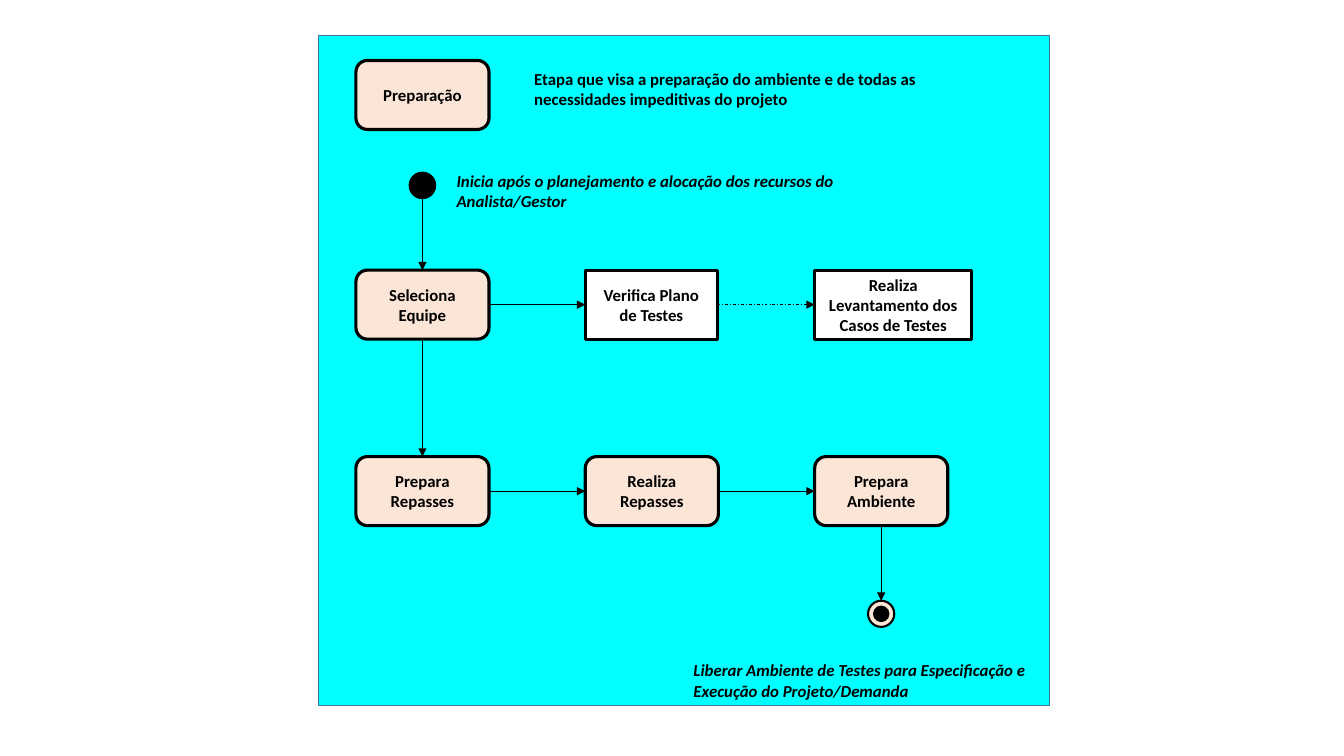
from pptx import Presentation
from pptx.dml.color import RGBColor
from pptx.enum.dml import MSO_LINE
from pptx.enum.shapes import MSO_CONNECTOR, MSO_SHAPE
from pptx.enum.text import MSO_ANCHOR, PP_ALIGN
from pptx.oxml.ns import qn
from pptx.util import Inches, Pt
from lxml import etree

ROUND, RECT, OVAL = MSO_SHAPE.ROUNDED_RECTANGLE, MSO_SHAPE.RECTANGLE, MSO_SHAPE.OVAL
TOP, LEFT, BOTTOM, RIGHT = range(4)  # connection sites

# Content: name -> (text, column, row, shape, width)
STEPS = {
    "stage": ("Preparação", 0, 0, ROUND, 1.32),
    "team": ("Seleciona Equipe", 0, 1, ROUND, 1.32),
    "plan": ("Verifica Plano de Testes", 1, 1, RECT, 1.31),
    "cases": ("Realiza Levantamento dos Casos de Testes", 2, 1, RECT, 1.56),
    "handover": ("Prepara Repasses", 0, 2, ROUND, 1.32),
    "training": ("Realiza Repasses", 1, 2, ROUND, 1.32),
    "setup": ("Prepara Ambiente", 2, 2, ROUND, 1.32),
}
# Text, left, top, width, italic
NOTES = [
    ("Etapa que visa a preparação do ambiente e de todas as necessidades "
     "impeditivas do projeto", 5.2, 0.63, 4.01, False),
    ("Inicia após o planejamento e alocação dos recursos do Analista/Gestor",
     4.43, 1.64, 4.07, True),
    ("Liberar Ambiente de Testes para Especificação e Execução do "
     "Projeto/Demanda", 6.78, 6.5, 3.6, True),
]
# From, site, to, site, dashed
FLOWS = [
    ("start", BOTTOM, "team", TOP, False),
    ("team", BOTTOM, "handover", TOP, False),
    ("team", RIGHT, "plan", LEFT, False),
    ("plan", RIGHT, "cases", LEFT, True),
    ("handover", RIGHT, "training", LEFT, False),
    ("training", RIGHT, "setup", LEFT, False),
    ("setup", BOTTOM, "end", TOP, False),
]

# Theme and grid
THEME = {
    "panel": RGBColor(0x00, 0xFF, 0xFF),
    "panel_line": RGBColor(0x43, 0x73, 0x9E),
    "step": RGBColor(0xFB, 0xE5, 0xD6),
    "plain": RGBColor(0xFF, 0xFF, 0xFF),
    "ink": RGBColor(0, 0, 0),
    "font": "Calibri",
    "size": Pt(12),
}
COL_LEFT, COL_STEP = 3.53, 2.275
ROW_TOPS = (0.6, 2.68, 4.53)
STEP_W, STEP_H, NODE_D, DOT_D = 1.32, 0.685, 0.26, 0.15
START_Y, END_Y = 1.84, 6.09


def add_shape(s, kind, x, y, w, h, fill, line, weight):
    sp = s.shapes.add_shape(kind, Inches(x), Inches(y), Inches(w), Inches(h))
    sp.shadow.inherit = False
    sp.fill.solid()
    sp.fill.fore_color.rgb = fill
    sp.line.color.rgb = line
    sp.line.width = Pt(weight)
    return sp


def add_node(s, cx, cy, d, fill, weight):
    return add_shape(s, OVAL, cx - d / 2, cy - d / 2, d, d, fill, THEME["ink"], weight)


def set_text(sp, text, align, italic=False):
    tf = sp.text_frame
    tf.word_wrap = True
    p = tf.paragraphs[0]
    p.text, p.alignment = text, align
    p.font.name, p.font.size = THEME["font"], THEME["size"]
    p.font.bold, p.font.italic = True, italic
    p.font.color.rgb = THEME["ink"]
    return tf


def site_point(sp, site):
    mid_x, mid_y = sp.left + sp.width // 2, sp.top + sp.height // 2
    return {TOP: (mid_x, sp.top), LEFT: (sp.left, mid_y),
            BOTTOM: (mid_x, sp.top + sp.height),
            RIGHT: (sp.left + sp.width, mid_y)}[site]


def add_arrow(s, source, out_site, target, in_site, dashed):
    cn = s.shapes.add_connector(MSO_CONNECTOR.STRAIGHT, *site_point(source, out_site),
                                *site_point(target, in_site))
    if source.auto_shape_type != OVAL:
        cn.begin_connect(source, out_site)
    cn.end_connect(target, in_site)
    cn.line.color.rgb = THEME["ink"]
    cn.line.width = Pt(0.5)
    if dashed:
        cn.line.dash_style = MSO_LINE.DASH_DOT
    etree.SubElement(cn.line._get_or_add_ln(), qn("a:tailEnd"), type="triangle")
    etree.SubElement(cn._element.spPr, qn("a:effectLst"))


def main():
    prs = Presentation()
    prs.slide_width, prs.slide_height = Inches(13.33), Inches(7.5)
    s = prs.slides.add_slide(prs.slide_layouts[6])

    # Background panel
    add_shape(s, RECT, 3.16, 0.35, 7.25, 6.65, THEME["panel"], THEME["panel_line"], 1)

    # Steps
    parts = {}
    for name, (text, col, row, kind, width) in STEPS.items():
        fill = THEME["step"] if kind == ROUND else THEME["plain"]
        sp = add_shape(s, kind, COL_LEFT + col * COL_STEP, ROW_TOPS[row], width, STEP_H,
                       fill, THEME["ink"], 2.25)
        set_text(sp, text, PP_ALIGN.CENTER).vertical_anchor = MSO_ANCHOR.MIDDLE
        parts[name] = sp

    # Start and end nodes, centred on the first and last columns
    start_x = COL_LEFT + STEP_W / 2
    end_x = start_x + 2 * COL_STEP
    parts["start"] = add_node(s, start_x, START_Y, NODE_D, THEME["ink"], 1)
    parts["end"] = add_node(s, end_x, END_Y, NODE_D, THEME["step"], 1.5)
    add_node(s, end_x, END_Y, DOT_D, THEME["ink"], 1)

    # Notes
    for text, x, y, width, italic in NOTES:
        box = s.shapes.add_textbox(Inches(x), Inches(y), Inches(width), Inches(0.5))
        set_text(box, text, PP_ALIGN.LEFT, italic)

    # Arrows
    for source, out_site, target, in_site, dashed in FLOWS:
        add_arrow(s, parts[source], out_site, parts[target], in_site, dashed)

    prs.save("out.pptx")


if __name__ == "__main__":
    main()
